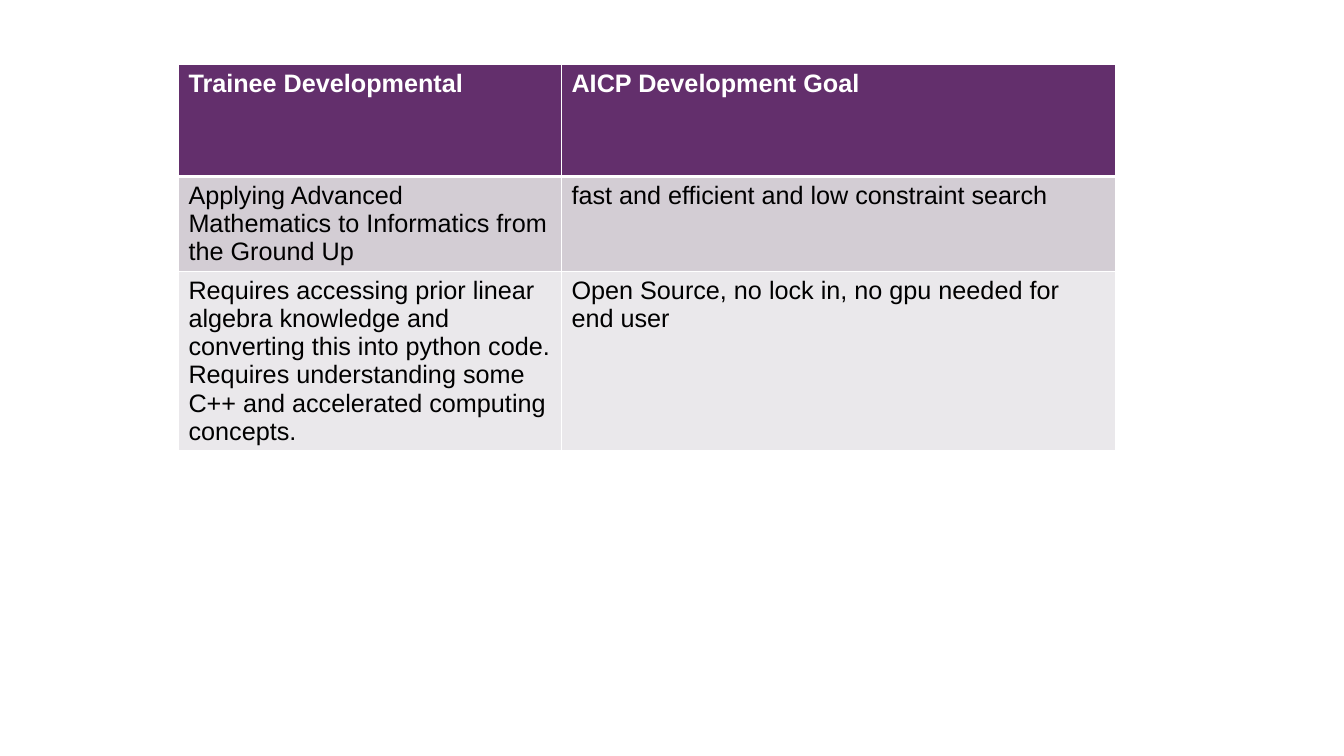
from pptx import Presentation
from pptx.dml.color import RGBColor
from pptx.oxml import parse_xml
from pptx.oxml.ns import nsdecls
from pptx.util import Inches, Pt

WIDTH, HEIGHT = Inches(13.33), Inches(7.5)


def colour(value):
    return RGBColor.from_string(value)


class SlideBuilder:
    """Draws styled elements on one slide, with lengths in percent of its size."""

    font_name = "Arial"
    font_size = 18
    header_fill = "632F6C"
    band_fills = ("D3CDD4", "EAE8EB")
    header_text, body_text = "FFFFFF", "000000"
    border = "FFFFFF"

    def __init__(self, presentation):
        self.slide = presentation.slides.add_slide(presentation.slide_layouts[6])

    def across(self, percent):
        return round(WIDTH * percent / 100)

    def down(self, percent):
        return round(HEIGHT * percent / 100)

    def borders(self, cell, top, bottom):
        properties = cell._tc.get_or_add_tcPr()
        for side, points in (("L", 1), ("R", 1), ("T", top), ("B", bottom)):
            properties.append(parse_xml(
                f'<a:ln{side} {nsdecls("a")} w="{Pt(points)}"><a:solidFill>'
                f'<a:srgbClr val="{self.border}"/></a:solidFill></a:ln{side}>'))

    def cell(self, cell, text, row):
        is_header = row == 0
        self.borders(cell, 3 if row == 1 else 1, 3 if is_header else 1)
        cell.fill.solid()
        band = self.band_fills[(row - 1) % len(self.band_fills)]
        cell.fill.fore_color.rgb = colour(self.header_fill if is_header else band)
        cell.text = text
        font = cell.text_frame.paragraphs[0].font
        font.name, font.size, font.bold = self.font_name, Pt(self.font_size), is_header
        font.color.rgb = colour(self.header_text if is_header else self.body_text)

    def table(self, left, top, columns, rows, content):
        table = self.slide.shapes.add_table(
            len(rows), len(columns), self.across(left), self.down(top),
            self.across(sum(columns)), self.down(sum(rows))).table
        for column, width in zip(table.columns, columns):
            column.width = self.across(width)
        for row, height in zip(table.rows, rows):
            row.height = self.down(height)
        for row_index, texts in enumerate(content):
            for column_index, text in enumerate(texts):
                self.cell(table.cell(row_index, column_index), text, row_index)


def main():
    presentation = Presentation()
    presentation.slide_width, presentation.slide_height = WIDTH, HEIGHT
    goals = [
        ("Trainee Developmental", "AICP Development Goal"),
        ("Applying Advanced Mathematics to Informatics from the Ground Up",
         "fast and efficient and low constraint search"),
        ("Requires accessing prior linear algebra knowledge and converting this "
         "into python code. Requires understanding some C++ and accelerated "
         "computing concepts.",
         "Open Source, no lock in, no gpu needed for end user"),
    ]
    SlideBuilder(presentation).table(
        left=13.28, top=8.55, columns=(28.5, 41.25), rows=(14.8, 8.4, 8.4),
        content=goals)
    presentation.save("out.pptx")


if __name__ == "__main__":
    main()
